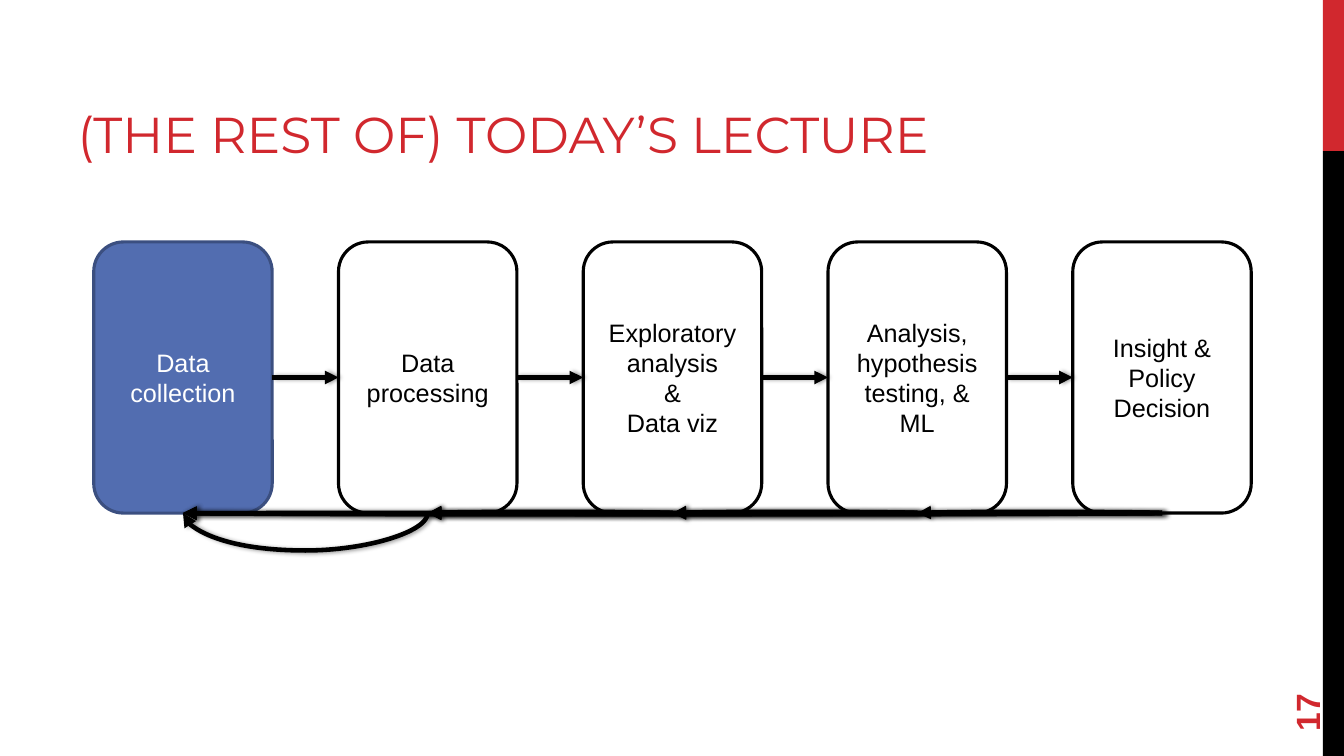
from dataclasses import dataclass

from lxml import etree
from pptx import Presentation
from pptx.dml.color import RGBColor
from pptx.enum.shapes import MSO_CONNECTOR, MSO_SHAPE
from pptx.enum.text import MSO_ANCHOR, PP_ALIGN
from pptx.oxml.ns import qn
from pptx.util import Emu, Inches, Pt

RECTANGLE, ROUNDED = MSO_SHAPE.RECTANGLE, MSO_SHAPE.ROUNDED_RECTANGLE
STRAIGHT, CURVE = MSO_CONNECTOR.STRAIGHT, MSO_CONNECTOR.CURVE
LEFT, CENTER = PP_ALIGN.LEFT, PP_ALIGN.CENTER
MIDDLE, BOTTOM = MSO_ANCHOR.MIDDLE, MSO_ANCHOR.BOTTOM
LEFT_SIDE, RIGHT_SIDE = 1, 3

TITLE = "(THE REST OF) TODAY’S LECTURE"
PAGE_NUMBER = "17"
STAGES = [
    ["Data collection"],
    ["Data processing"],
    ["Exploratory analysis", "&", "Data viz"],
    ["Analysis, hypothesis testing, & ML"],
    ["Insight & Policy Decision"],
]
CURRENT_STAGE = 0
FIRST_LOOP_DROP = 0.31
LOOP_DROPS = {1: -0.01, 2: 0, 3: 0.01, 4: 0.01}


@dataclass(frozen=True)
class Theme:
    red: str = "D1282E"
    black: str = "000000"
    white: str = "FFFFFF"
    blue: str = "526DB0"
    dark_blue: str = "3B4F80"
    title_font: str = "Montserrat"
    body_font: str = "Arial"
    title_size: float = 36
    number_size: float = 24
    body_size: float = 18
    outline: float = 2.25
    arrow: float = 3.25


THEME = Theme()
SLIDE_WIDTH, SLIDE_HEIGHT = 13.33, 7.5
BAND_WIDTH, BAND_SPLIT = 0.21, SLIDE_HEIGHT / 5
BOX_WIDTH, BOX_HEIGHT, BOX_TOP = 1.77, 2.69, 2.4
FIRST_LEFT, LAST_LEFT = 0.93, 10.64
PITCH = (LAST_LEFT - FIRST_LEFT) / (len(STAGES) - 1)
BOX_BOTTOM = BOX_TOP + BOX_HEIGHT
LOOP_THICKNESS = Emu(600)


def color(value):
    return RGBColor.from_string(value)


def write_text(shape, lines, font=THEME.body_font, size=THEME.body_size,
               fill=THEME.black, bold=False, align=CENTER, anchor=MIDDLE):
    frame = shape.text_frame
    frame.word_wrap = True
    frame.vertical_anchor = anchor
    frame.text = "\n".join(lines)
    for paragraph in frame.paragraphs:
        paragraph.alignment = align
        paragraph.font.name = font
        paragraph.font.size = Pt(size)
        paragraph.font.bold = bold
        paragraph.font.color.rgb = color(fill)


def add_box(slide, preset, left, top, width, height, fill, line=None):
    shape = slide.shapes.add_shape(
        preset, Inches(left), Inches(top), Inches(width), Inches(height))
    shape.shadow.inherit = False
    shape.fill.solid()
    shape.fill.fore_color.rgb = color(fill)
    if line:
        shape.line.color.rgb = color(line)
        shape.line.width = Pt(THEME.outline)
    else:
        shape.line.fill.background()
    return shape


def style_arrow(connector):
    connector.line.color.rgb = color(THEME.black)
    connector.line.width = Pt(THEME.arrow)
    properties = connector._element.spPr
    etree.SubElement(properties.find(qn("a:ln")), qn("a:tailEnd"), type="triangle")
    effects = etree.SubElement(properties, qn("a:effectLst"))
    shadow = etree.SubElement(
        effects, qn("a:outerShdw"), blurRad=str(Pt(3.1)), dist=str(Pt(1.8)),
        dir="0", rotWithShape="0")
    shade = etree.SubElement(shadow, qn("a:srgbClr"), val=THEME.black)
    etree.SubElement(shade, qn("a:alpha"), val="40000")


def add_forward_arrow(slide, source, target):
    connector = slide.shapes.add_connector(STRAIGHT, 0, 0, 0, 0)
    connector.begin_connect(source, RIGHT_SIDE)
    connector.end_connect(target, LEFT_SIDE)
    style_arrow(connector)


def add_feedback_loop(slide, start, end, drop):
    middle, half_span = Inches((start + end) / 2), Inches((start - end) / 2)
    level, half_thickness = Inches(BOX_BOTTOM), LOOP_THICKNESS // 2
    connector = slide.shapes.add_connector(
        CURVE, middle - half_thickness, level - half_span,
        middle + half_thickness, level + half_span)
    properties = connector._element.spPr
    properties.find(qn("a:xfrm")).set("rot", "5400000")
    geometry = properties.find(qn("a:prstGeom"))
    bend = round(Inches(drop) / LOOP_THICKNESS * 100000)
    etree.SubElement(geometry.find(qn("a:avLst")), qn("a:gd"),
                     name="adj1", fmla=f"val {bend}")
    style_arrow(connector)


def stage_center(index):
    return FIRST_LEFT + index * PITCH + BOX_WIDTH / 2


def add_process(slide):
    previous = None
    for index, lines in enumerate(STAGES):
        current = index == CURRENT_STAGE
        box = add_box(slide, ROUNDED, FIRST_LEFT + index * PITCH, BOX_TOP,
                      BOX_WIDTH, BOX_HEIGHT,
                      THEME.blue if current else THEME.white,
                      THEME.dark_blue if current else THEME.black)
        write_text(box, lines, fill=THEME.white if current else THEME.black)
        if previous is not None:
            add_forward_arrow(slide, previous, box)
        for target in reversed(range(index)):
            drop = FIRST_LOOP_DROP if index == 1 else LOOP_DROPS[index - target]
            add_feedback_loop(slide, stage_center(index), stage_center(target), drop)
        previous = box


def main():
    presentation = Presentation()
    presentation.slide_width = Inches(SLIDE_WIDTH)
    presentation.slide_height = Inches(SLIDE_HEIGHT)
    slide = presentation.slides.add_slide(presentation.slide_layouts[5])

    band_left = SLIDE_WIDTH - BAND_WIDTH
    add_box(slide, RECTANGLE, band_left, 0, BAND_WIDTH, BAND_SPLIT, THEME.red)
    add_box(slide, RECTANGLE, band_left, BAND_SPLIT, BAND_WIDTH,
            SLIDE_HEIGHT - BAND_SPLIT, THEME.black)

    title = slide.shapes.title
    title.left, title.top = Inches(0.67), Inches(0.17)
    title.width, title.height = Inches(9.61), Inches(1.5)
    write_text(title, [TITLE], font=THEME.title_font, size=THEME.title_size,
               fill=THEME.red, align=LEFT, anchor=BOTTOM)

    number = slide.shapes.add_textbox(
        Inches(12.24), Inches(6.37), Inches(1.44), Inches(0.53))
    number.rotation = 270
    write_text(number, [PAGE_NUMBER], size=THEME.number_size, fill=THEME.red,
               bold=True, align=LEFT)

    add_process(slide)
    presentation.save("out.pptx")


if __name__ == "__main__":
    main()
